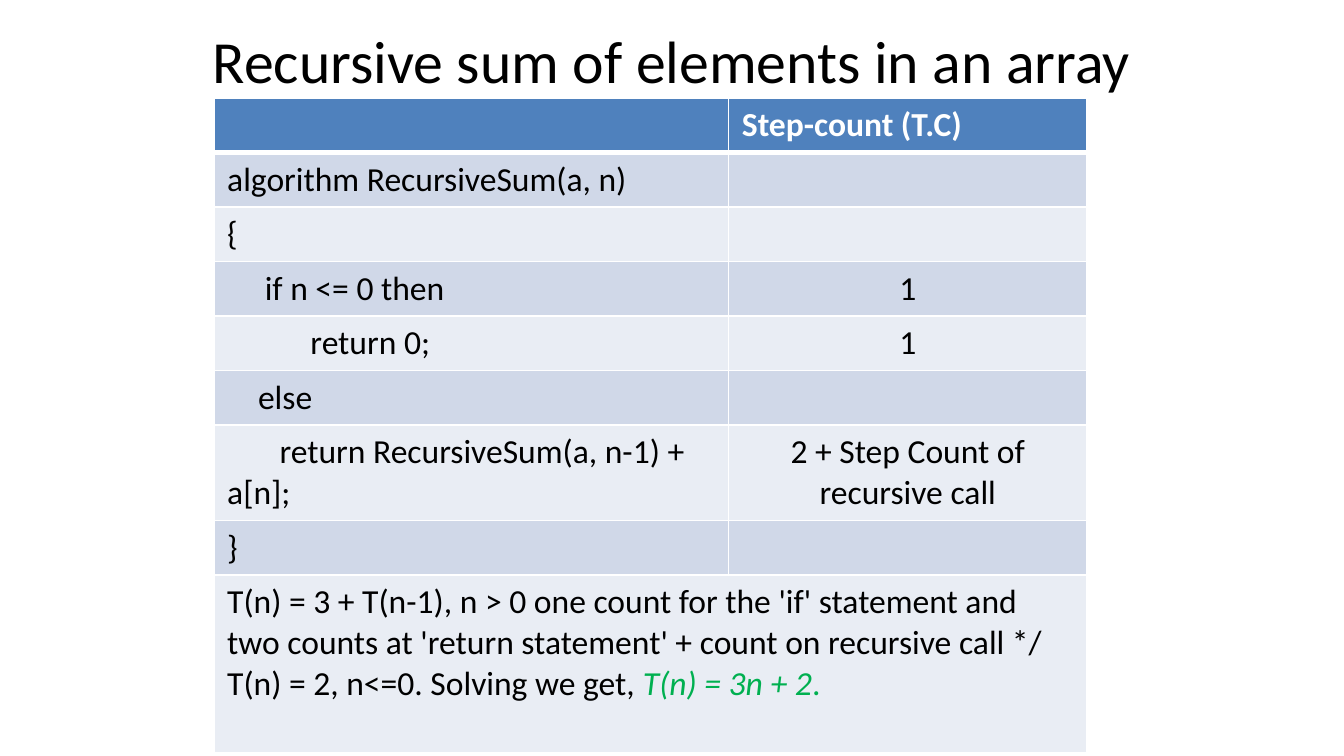
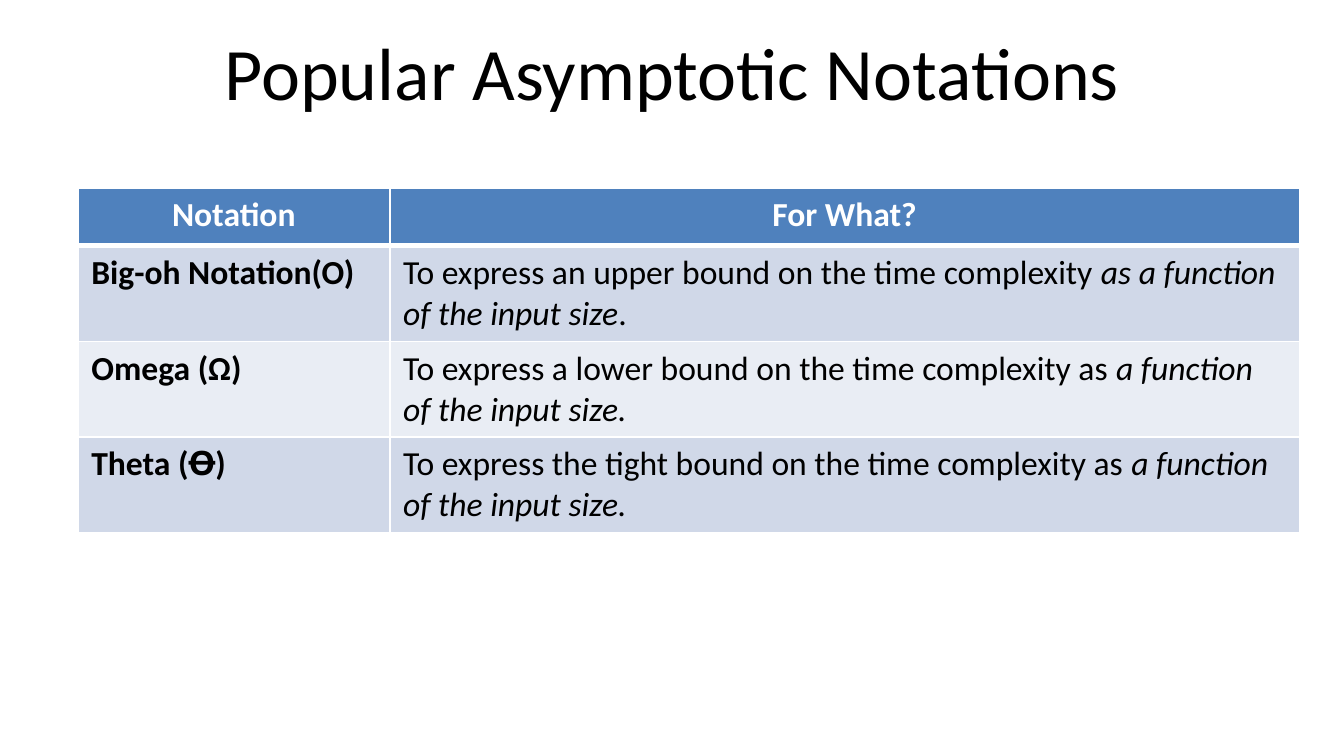
"""Two slides on step counts and asymptotic notations."""
from dataclasses import dataclass, field

from lxml import etree
from pptx import Presentation
from pptx import util as u
from pptx.dml import color
from pptx.enum import text
from pptx.oxml import ns


@dataclass(frozen=True)
class Theme:
    """Colours, font, type sizes and rules shared by the slides."""
    font: str = "Calibri"
    body: float = 18
    ink: str = "000000"
    pale: str = "FFFFFF"
    head: str = "4F81BD"
    bands: tuple = ("D0D8E8", "E9EDF4")
    mark: str = "00B050"
    thin: float = 1
    thick: float = 3


@dataclass(frozen=True)
class Run:
    """A stretch of text with its own look."""
    words: str
    style: dict = field(default_factory=dict)
    tint: str = ""


@dataclass(frozen=True)
class Cell:
    """Paragraphs of runs, with alignment and first-line indent."""
    paras: tuple = ()
    center: bool = False
    indent: float = 0


@dataclass(frozen=True)
class Grid:
    """A table: place, column widths, row heights and cells."""
    left: float
    top: float
    cols: tuple
    heights: tuple
    rows: tuple


THEME = Theme()
BOLD = {"bold": True}
SLANT = {"italic": True}


def line(words: str, center: bool = False, indent: float = 0, **style) -> Cell:
    """Make a cell that holds one plain run."""
    return Cell(((Run(words, style),),), center, indent)


def paint(font, tint: str, style: dict) -> None:
    """Give a font its colour and its format values."""
    font.color.rgb = color.RGBColor.from_string(tint)
    for name, value in {"name": THEME.font, **style}.items():
        setattr(font, name, value)


def add_title(slide, words: str, size: float, height: float) -> None:
    """Place and format the title placeholder."""
    title = slide.shapes.title
    place = {"left": 0.5, "top": 0.23, "width": 9, "height": height}
    for name, value in place.items():
        setattr(title, name, u.Inches(value))
    frame = title.text_frame
    frame.text = words
    frame.auto_size = text.MSO_AUTO_SIZE.NONE
    frame.vertical_anchor = text.MSO_ANCHOR.MIDDLE
    para = frame.paragraphs[0]
    para.alignment = text.PP_ALIGN.CENTER
    paint(para.runs[0].font, THEME.ink, {"size": u.Pt(size)})


def edge(cell, row: int) -> None:
    """Rule the sides of a cell, thicker below the header."""
    props = cell._tc.get_or_add_tcPr()
    for i, side in enumerate(("lnL", "lnR", "lnT", "lnB")):
        heavy = row == 0 and side == "lnB"
        rule = etree.Element(ns.qn("a:" + side))
        rule.set("w", str(u.Pt(THEME.thick if heavy else THEME.thin)))
        fill = etree.SubElement(rule, ns.qn("a:solidFill"))
        etree.SubElement(fill, ns.qn("a:srgbClr")).set("val", THEME.pale)
        props.insert(i, rule)


def fill_cell(cell, data: Cell, row: int) -> None:
    """Colour a cell by its row and write its text."""
    back = THEME.bands[(row - 1) % 2] if row else THEME.head
    ink = THEME.ink if row else THEME.pale
    cell.fill.solid()
    cell.fill.fore_color.rgb = color.RGBColor.from_string(back)
    if row == 0:
        edge(cell, row)
    frame = cell.text_frame
    for i, runs in enumerate(data.paras):
        para = frame.add_paragraph() if i else frame.paragraphs[0]
        if data.center:
            para.alignment = text.PP_ALIGN.CENTER
        if data.indent:
            props = para._p.get_or_add_pPr()
            props.set("marL", "0")
            props.set("indent", str(u.Inches(data.indent)))
        for item in runs:
            run = para.add_run()
            run.text = item.words
            base = {"size": u.Pt(THEME.body), "bold": not row}
            paint(run.font, item.tint or ink, {**base, **item.style})


def add_grid(slide, grid: Grid) -> None:
    """Draw a table; a row with one cell spans all columns."""
    sizes = (grid.left, grid.top, sum(grid.cols), sum(grid.heights))
    table = slide.shapes.add_table(
        len(grid.rows), len(grid.cols), *map(u.Inches, sizes)).table
    for col, width in zip(table.columns, grid.cols):
        col.width = u.Inches(width)
    for r, (cells, height) in enumerate(zip(grid.rows, grid.heights)):
        table.rows[r].height = u.Inches(height)
        if len(cells) < len(grid.cols):
            table.cell(r, 0).merge(table.cell(r, len(grid.cols) - 1))
        for c, data in enumerate(cells):
            fill_cell(table.cell(r, c), data, r)


def bound(name: str, lead: str, *tail: Run) -> tuple:
    """Make a row that pairs a notation with its purpose."""
    return line(name, **BOLD), Cell(((Run(lead), *tail),))


NONE = Cell()
STEP = 3.65 / 9
SOLVED = Cell((
    (Run("T(n) = 3 + T(n-1), n > 0 one count for the 'if' statement and two "
         "counts at 'return statement' + count on recursive call */"),),
    (Run("T(n) = 2, n<=0. Solving we get, "),
     Run("T(n) = 3n + 2", SLANT, THEME.mark), Run(".", tint=THEME.mark)),
))
STEPS = Grid(1.59, 0.73, (3.83, 2.67), (*[STEP] * 6, 0.7, STEP, 1.32), (
    (NONE, line("Step-count (T.C)")),
    (line("algorithm RecursiveSum(a, n)"), NONE),
    (line("{"), NONE),
    (line("if n <= 0 then", indent=0.28), line("1", True)),
    (line("return 0;", indent=0.62), line("1", True)),
    (line("else", indent=0.23), NONE),
    (line("return RecursiveSum(a, n-1) + a[n]; ", indent=0.39),
     line("2 + Step Count of recursive call", True)),
    (line("}"), NONE),
    (SOLVED,),
))
SIZE = Run("a function of the input size.", SLANT)
BOUNDS = Grid(0.58, 1.4, (2.32, 6.77), (0.43, 0.65, 0.62, 0.62), (
    (line("Notation", True), line("For What?", True)),
    bound("Big-oh Notation(O)",
          "To express an upper bound on the time complexity ",
          Run("as a function of the input size", SLANT), Run(".")),
    bound("Omega (\u2126)",
          "To express a lower bound on the time complexity as ", SIZE),
    bound("Theta (\ua74a)",
          "To express the tight bound on the time complexity as ", SIZE),
))


def main() -> None:
    """Build the deck and save it."""
    deck = Presentation()
    deck.slide_width = u.Inches(10)
    deck.slide_height = u.Inches(10 * 9 / 16)
    pages = (
        ("Recursive sum of elements in an array", 32, 0.42, STEPS),
        ("Popular Asymptotic Notations", 39.6, 0.59, BOUNDS),
    )
    for words, size, height, grid in pages:
        slide = deck.slides.add_slide(deck.slide_layouts[5])
        add_title(slide, words, size, height)
        add_grid(slide, grid)
    deck.save("out.pptx")


main()
